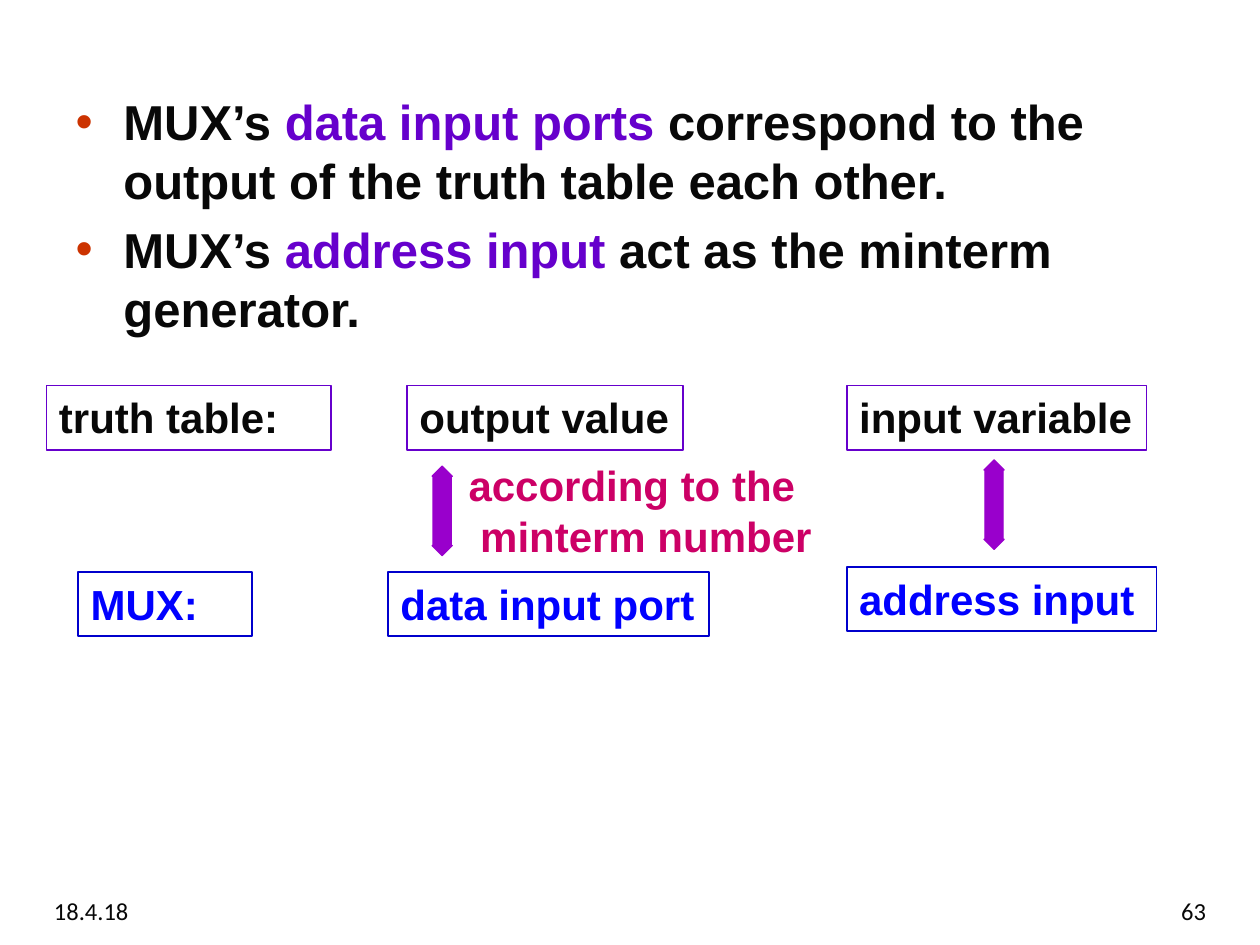
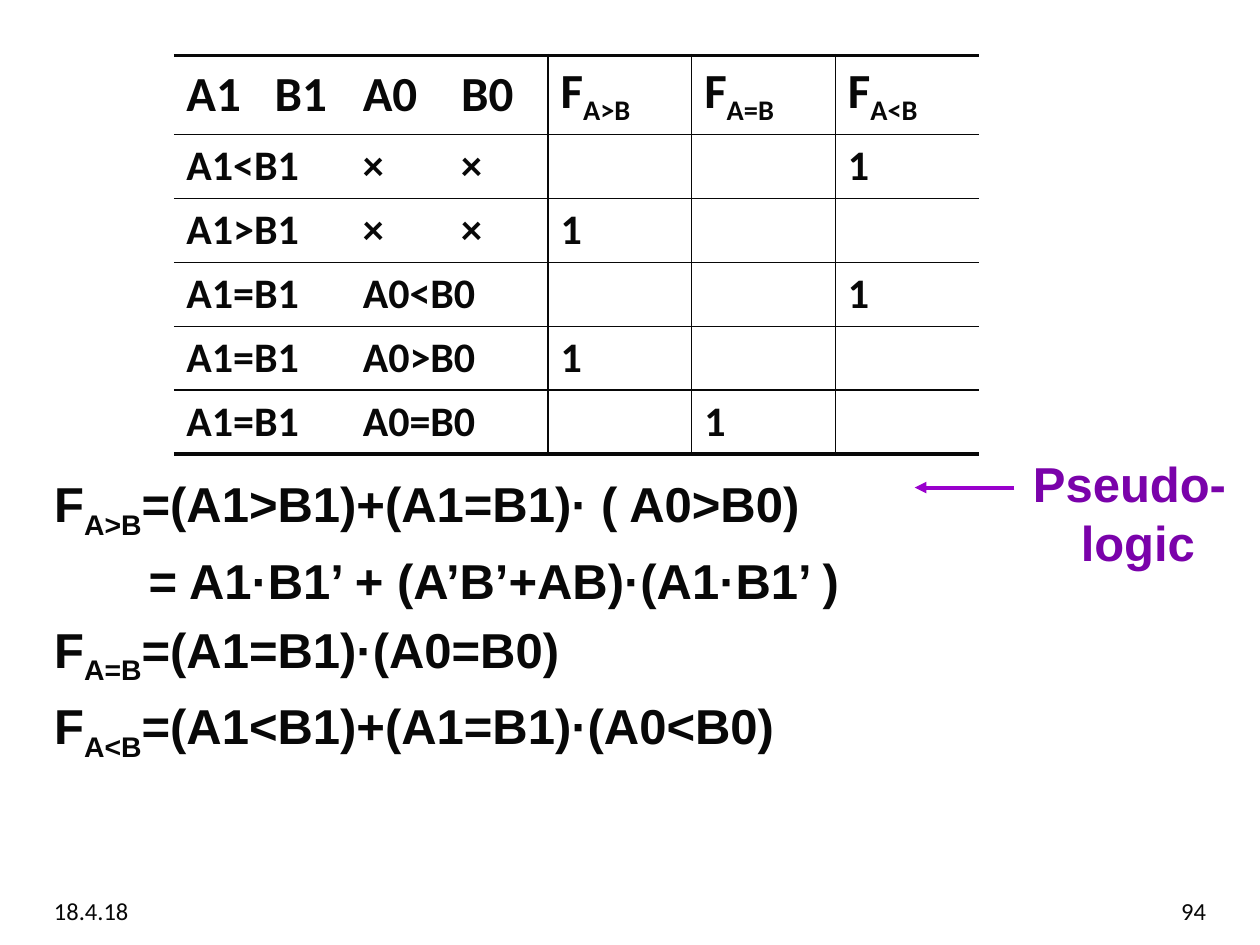
from dataclasses import dataclass

from lxml.etree import SubElement
from pptx import Presentation
from pptx.dml.color import RGBColor
from pptx.enum.shapes import MSO_CONNECTOR as Connector, MSO_SHAPE as Shape
from pptx.enum.text import MSO_ANCHOR as Anchor, MSO_AUTO_SIZE as AutoSize, PP_ALIGN as Align
from pptx.oxml import parse_xml
from pptx.oxml.ns import nsdecls, qn
from pptx.util import Inches, Pt


@dataclass(frozen=True)
class Theme:
    ink: str = "080808"
    bullet: str = "CC3300"
    violet: str = "6600CC"
    arrow: str = "9900CC"
    note: str = "CC0066"
    pseudo: str = "7A02AA"
    blue: str = "0000FF"
    blue_line: str = "0000CC"
    font: str = "Arial"
    small_font: str = "Calibri"
    body_size: int = 28
    label_size: int = 24
    footer_size: int = 14
    thin: float = 1
    thick: float = 2.25
    hanging: float = 0.38


THEME = Theme()
SUBSCRIPT = {"baseline": "-25000"}


def color(value):
    return RGBColor.from_string(value)


def place(shape, box):
    for name, value in zip(("left", "top", "width", "height"), box):
        setattr(shape, name, Inches(value))


def add_runs(paragraph, runs, size, ink=THEME.ink, font=THEME.font, bold=True):
    for text, changes in runs:
        run = paragraph.add_run()
        run.text = text
        for name, value in {"size": Pt(size), "name": font, "bold": bold}.items():
            setattr(run.font, name, value)
        run.font.color.rgb = color(changes.get("ink", ink))
        if "baseline" in changes:
            run.font._element.set("baseline", changes["baseline"])


def subscripted(name, rest=""):
    runs = [("F", {}), (name, SUBSCRIPT)]
    return runs + [(rest, {})] if rest else runs


def set_indent(paragraph, margin, first):
    properties = paragraph._p.get_or_add_pPr()
    for name, value in {"marL": margin, "indent": first}.items():
        properties.set(name, str(Inches(value)))
    return properties


def set_frame(frame):
    values = {"word_wrap": True, "auto_size": AutoSize.NONE,
              "vertical_anchor": Anchor.TOP, "margin_right": Inches(0.05)}
    for name, value in values.items():
        setattr(frame, name, value)


def add_text(slide, box, lines, size, align=Align.LEFT, **style):
    shape = slide.shapes.add_textbox(*map(Inches, box))
    frame = shape.text_frame
    set_frame(frame)
    for index, line in enumerate(lines):
        paragraph = frame.add_paragraph() if index else frame.paragraphs[0]
        paragraph.alignment = align
        add_runs(paragraph, [(line, {})], size, **style)
    return shape


def add_footer(slide, number):
    style = {"font": THEME.small_font, "bold": False}
    add_text(slide, (0.33, 7.06, 2.5, 0.29), ["18.4.18"], THEME.footer_size, **style)
    page = add_text(slide, (7.17, 7.06, 2.5, 0.29), [str(number)],
                    THEME.footer_size, Align.RIGHT, **style)
    page.text_frame.margin_right = Inches(0.1)


def add_body(slide, box, paragraphs, bulleted):
    body = slide.placeholders[1]
    place(body, box)
    frame = body.text_frame
    set_frame(frame)
    for index, (margin, first, runs) in enumerate(paragraphs):
        paragraph = frame.add_paragraph() if index else frame.paragraphs[0]
        paragraph.space_before = Pt(THEME.body_size * 0.2)
        properties = set_indent(paragraph, margin, first)
        if bulleted:
            bullet_color = SubElement(properties, qn("a:buClr"))
            SubElement(bullet_color, qn("a:srgbClr"), val=THEME.bullet)
            SubElement(properties, qn("a:buFont"), typeface=THEME.font)
            SubElement(properties, qn("a:buChar"), char="•")
        else:
            SubElement(properties, qn("a:buNone"))
        add_runs(paragraph, runs, THEME.body_size)


def add_label(slide, box, text, ink, outline):
    label = add_text(slide, box, [text], THEME.label_size, ink=ink)
    label.line.color.rgb = color(outline)
    label.line.width = Pt(THEME.thin)


def add_double_arrow(slide, left, top):
    arrow = slide.shapes.add_shape(Shape.UP_DOWN_ARROW, *map(Inches, (left, top, 0.16, 0.71)))
    arrow.shadow.inherit = False
    arrow.adjustments[0] = 0.5
    arrow.adjustments[1] = 0.9
    arrow.fill.solid()
    arrow.fill.fore_color.rgb = color(THEME.arrow)
    arrow.line.color.rgb = color(THEME.arrow)
    arrow.line.width = Pt(0.75)


def add_correspondence(slide, left, top):
    height = 0.51
    truth_labels = [(0, 2.26, "truth table:"), (2.86, 2.19, "output value"),
                    (6.35, 2.38, "input variable")]
    mux_labels = [(0.25, 1.48, 1.38, "MUX:"), (2.71, 1.48, 2.55, "data input port"),
                  (6.35, 1.44, 2.46, "address input")]
    for x, width, text in truth_labels:
        add_label(slide, (left + x, top, width, height), text, THEME.ink, THEME.violet)
    for x, y, width, text in mux_labels:
        add_label(slide, (left + x, top + y, width, height), text, THEME.blue, THEME.blue_line)
    for x, y in ((3.06, 0.64), (7.44, 0.59)):
        add_double_arrow(slide, left + x, top + y)
    add_text(slide, (left + 3.25, top + 0.54, 2.92, 0.9),
             ["according to the", " minterm number"], THEME.label_size, ink=THEME.note)


def set_borders(cell, widths):
    properties = cell._tc.get_or_add_tcPr()
    for index, (side, width) in enumerate(zip("LRTB", widths)):
        fill = f'<a:solidFill><a:srgbClr val="{THEME.ink}"/></a:solidFill>' if width else "<a:noFill/>"
        line = f'<a:ln{side} {nsdecls("a")} w="{Pt(width)}">{fill}</a:ln{side}>'
        properties.insert(index, parse_xml(line))


def add_comparison_table(slide, left, top):
    header = [[(name, {})] for name in ("A1", "B1", "A0", "B0")]
    header += [subscripted(name) for name in ("A>B", "A=B", "A<B")]
    cases = [("A1<B1", ("×", "×"), 6), ("A1>B1", ("×", "×"), 4), ("A1=B1", ("A0<B0",), 6),
             ("A1=B1", ("A0>B0",), 4), ("A1=B1", ("A0=B0",), 5)]
    columns = (0.7, 0.7, 0.78, 0.79, 1.14, 1.14, 1.14)
    rows = (0.47,) + (0.44,) * len(cases)
    table = slide.shapes.add_table(len(rows), len(columns), Inches(left), Inches(top),
                                   Inches(sum(columns)), Inches(sum(rows))).table
    table.first_row = table.horz_banding = False
    for column, width in zip(table.columns, columns):
        column.width = Inches(width)
    for row, height in zip(table.rows, rows):
        row.height = Inches(height)

    contents = {(0, column): runs for column, runs in enumerate(header)}
    for row, (high, low, result) in enumerate(cases, 1):
        contents[row, 0] = [(high, {})]
        contents.update({(row, 2 + index): [(text, {})] for index, text in enumerate(low)})
        contents[row, result] = [("1", {})]
        table.cell(row, 0).merge(table.cell(row, 1))
        if len(low) == 1:
            table.cell(row, 2).merge(table.cell(row, 3))

    last_row, last_column = len(rows) - 1, len(columns) - 1
    for row in range(len(rows)):
        for column in range(len(columns)):
            cell = table.cell(row, column)
            cell.fill.background()
            cell.vertical_anchor = Anchor.MIDDLE
            set_borders(cell, (THEME.thin if column >= 4 else 0,
                               THEME.thin if 3 <= column < last_column else 0,
                               THEME.thin if row else THEME.thick,
                               THEME.thin if row < last_row else THEME.thick))
            size = THEME.label_size if row else THEME.body_size
            add_runs(cell.text_frame.paragraphs[0], contents.get((row, column), []),
                     size, font=THEME.small_font)


def add_pseudo_logic(slide, left, top):
    label = add_text(slide, (left + 0.84, top, 1.7, 1.03), ["Pseudo-logic"],
                     THEME.body_size, ink=THEME.pseudo)
    set_indent(label.text_frame.paragraphs[0], THEME.hanging, -THEME.hanging)
    y = Inches(top + 0.32)
    pointer = slide.shapes.add_connector(Connector.STRAIGHT, Inches(left + 0.79), y, Inches(left), y)
    pointer.line.color.rgb = color(THEME.arrow)
    pointer.line.width = Pt(THEME.thick)
    SubElement(pointer.line._get_or_add_ln(), qn("a:tailEnd"), type="triangle")
    SubElement(pointer._element.spPr, qn("a:effectLst"))


def add_content_slide(presentation, number):
    slide = presentation.slides.add_slide(presentation.slide_layouts[1])
    title = slide.shapes.title._element
    title.getparent().remove(title)
    add_footer(slide, number)
    return slide


def build_mux_slide(presentation):
    slide = add_content_slide(presentation, 63)
    statements = [("data input ports", " correspond to the output of the truth table each other."),
                  ("address input", " act as the minterm generator.")]
    add_body(slide, (0.5, 0.68, 9, 2.09),
             [(THEME.hanging, -THEME.hanging,
               [("MUX’s ", {}), (term, {"ink": THEME.violet}), (rest, {})])
              for term, rest in statements], bulleted=True)
    add_correspondence(slide, 0.37, 3.06)


def build_comparator_slide(presentation):
    slide = add_content_slide(presentation, 94)
    hanging = (THEME.hanging, -THEME.hanging)
    add_body(slide, (0.33, 3.71, 9.34, 2.96), [
        (*hanging, subscripted("A>B", "=(A1>B1)+(A1=B1)· ( A0>B0)")),
        (0.75, 0, [("= A1·B1’ + (A’B’+AB)·(A1·B1’ )", {})]),
        (*hanging, subscripted("A=B", "=(A1=B1)·(A0=B0)")),
        (*hanging, subscripted("A<B", "=(A1<B1)+(A1=B1)·(A0<B0)")),
    ], bulleted=False)
    add_comparison_table(slide, 1.38, 0.44)
    add_pseudo_logic(slide, 7.26, 3.55)


def main():
    presentation = Presentation()
    presentation.slide_width = Inches(10)
    presentation.slide_height = Inches(7.5)
    build_mux_slide(presentation)
    build_comparator_slide(presentation)
    presentation.save("out.pptx")


if __name__ == "__main__":
    main()
